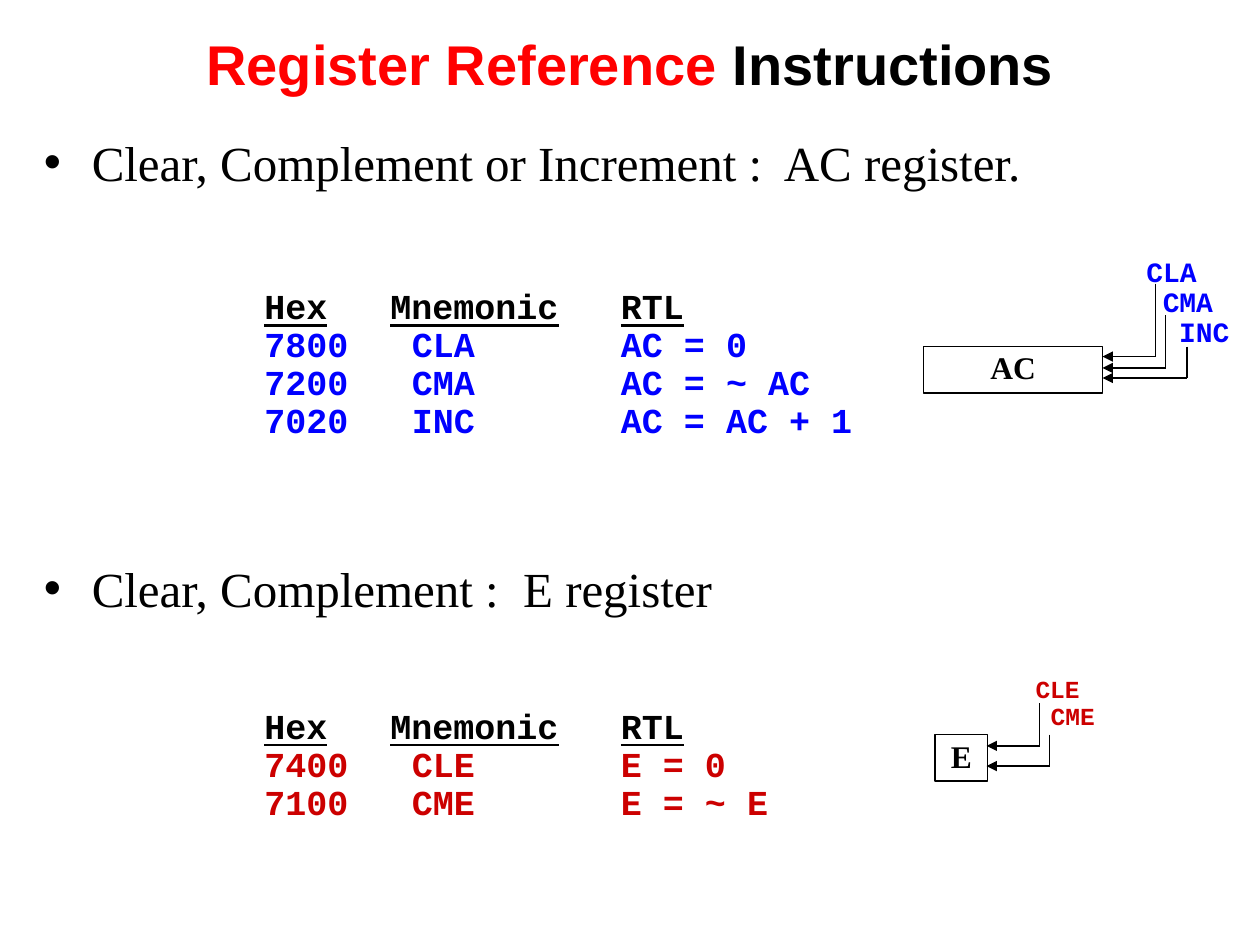
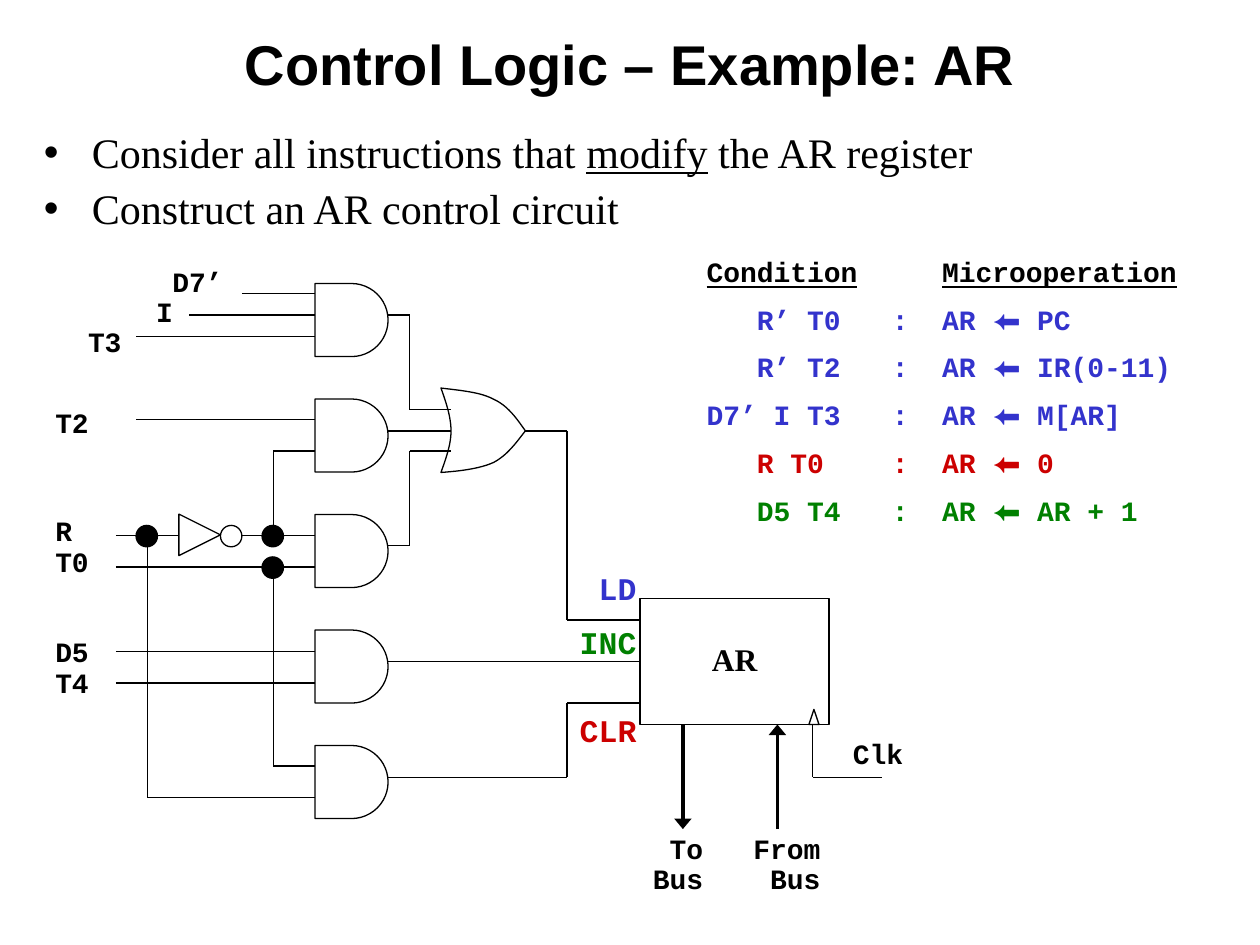
"""Build two slides on register reference instructions and AR control logic."""
import pptx
import pptx.dml.color
import pptx.enum.shapes
import pptx.enum.text
import pptx.oxml.ns
import pptx.util
from lxml import etree

Inches = pptx.util.Inches
Pt = pptx.util.Pt
RGBColor = pptx.dml.color.RGBColor
SHAPE = pptx.enum.shapes.MSO_SHAPE
ALIGN = pptx.enum.text.PP_ALIGN
ANCHOR = pptx.enum.text.MSO_ANCHOR
qn = pptx.oxml.ns.qn

BLACK = RGBColor(0x00, 0x00, 0x00)
WHITE = RGBColor(0xFF, 0xFF, 0xFF)
TITLE_RED = RGBColor(0xFF, 0x00, 0x00)
BLUE = RGBColor(0x00, 0x00, 0xFF)
RED = RGBColor(0xCC, 0x00, 0x00)
INDIGO = RGBColor(0x33, 0x33, 0xCC)
GREEN = RGBColor(0x00, 0x80, 0x00)

SANS, SERIF, MONO = "Arial", "Times New Roman", "Courier New"
UNDERLINED = {"underline": True}


def add_bullet(paragraph):
    """Give a paragraph a hanging round bullet."""
    properties = paragraph._p.get_or_add_pPr()
    properties.set("marL", str(Inches(0.38)))
    properties.set("indent", str(-Inches(0.38)))
    etree.SubElement(properties, qn("a:buFont")).set("typeface", SANS)
    etree.SubElement(properties, qn("a:buChar")).set("char", "•")


def add_tabs(paragraph, positions):
    """Add left tab stops at the given positions in inches."""
    tab_list = etree.SubElement(paragraph._p.get_or_add_pPr(), qn("a:tabLst"))
    for position in positions:
        tab = etree.SubElement(tab_list, qn("a:tab"))
        tab.set("pos", str(Inches(position)))
        tab.set("algn", "l")


def write_text(frame, paragraphs, size=16, font=MONO, color=BLACK, bold=True,
               align=ALIGN.LEFT, anchor=ANCHOR.TOP, spacing=0.9, before=0,
               bullet=False, tabs=()):
    """Fill a text frame; a paragraph is a string or a list of (text, changes) runs."""
    frame.word_wrap = True
    frame.auto_size = pptx.enum.text.MSO_AUTO_SIZE.NONE
    frame.vertical_anchor = anchor
    frame.margin_left = frame.margin_right = Inches(0.1)
    frame.margin_top = frame.margin_bottom = Inches(0.05)
    for index, runs in enumerate(paragraphs):
        paragraph = frame.add_paragraph() if index else frame.paragraphs[0]
        if bullet:
            add_bullet(paragraph)
        if tabs:
            add_tabs(paragraph, tabs)
        paragraph.alignment = align
        paragraph.line_spacing = spacing
        paragraph.space_before = Pt(before if index else 0)
        for text, changes in [(runs, {})] if isinstance(runs, str) else runs:
            run = paragraph.add_run()
            run.text = text
            run.font.size = Pt(size)
            run.font.bold = bold
            run.font.name = changes.get("font", font)
            run.font.color.rgb = changes.get("color", color)
            run.font.underline = changes.get("underline", False)


def add_text(slide, left, top, width, height, paragraphs, **text_format):
    """Add a text box."""
    box = slide.shapes.add_textbox(
        Inches(left), Inches(top), Inches(width), Inches(height))
    write_text(box.text_frame, paragraphs, **text_format)


def add_label(slide, text, left, top, width=0.65, **text_format):
    """Add a one-line signal name."""
    add_text(slide, left, top, width, 0.34, [text], **text_format)


def style_outline(shape, fill):
    """Give a shape a thin black outline, an optional fill and no shadow."""
    shape.shadow.inherit = False
    shape.line.color.rgb = BLACK
    shape.line.width = Pt(0.75)
    if fill is None:
        shape.fill.background()
    else:
        shape.fill.solid()
        shape.fill.fore_color.rgb = fill


def add_part(slide, kind, left, top, width, height, fill=None):
    """Add an outlined circuit part."""
    part = slide.shapes.add_shape(
        kind, Inches(left), Inches(top), Inches(width), Inches(height))
    style_outline(part, fill)
    return part


def add_register(slide, name, left, top, width, height):
    """Add a register box with its name in the middle."""
    register = add_part(slide, SHAPE.RECTANGLE, left, top, width, height)
    write_text(register.text_frame, [name], size=18, font=SERIF,
               align=ALIGN.CENTER, anchor=ANCHOR.MIDDLE)


def add_wire(slide, *points, width=0.75, arrow=None):
    """Join points by straight lines; arrow is the width of a head at the last."""
    for start, end in zip(points, points[1:]):
        wire = slide.shapes.add_connector(
            pptx.enum.shapes.MSO_CONNECTOR.STRAIGHT,
            *(Inches(value) for value in start + end))
        wire.line.color.rgb = BLACK
        wire.line.width = Pt(width)
        properties = wire._element.spPr
        if arrow and end == points[-1]:
            head = etree.SubElement(properties.find(qn("a:ln")), qn("a:tailEnd"))
            head.set("type", "triangle")
            head.set("w", arrow)
        etree.SubElement(properties, qn("a:effectLst"))


def curve_points(start, first, second, end, steps=12):
    """Return points along a cubic curve, without its start."""
    points = []
    for step in range(1, steps + 1):
        t = step / steps
        weights = ((1 - t) ** 3, 3 * t * (1 - t) ** 2, 3 * t * t * (1 - t), t ** 3)
        points.append(tuple(
            Inches(sum(weight * value for weight, value in zip(weights, values)))
            for values in zip(start, first, second, end)))
    return points


def add_or_gate(slide):
    """Draw the OR gate as one closed curved outline."""
    knots = [(3.5, 3.08), (3.54, 3.19), (3.58, 3.31), (3.58, 3.42),
             (3.58, 3.53), (3.54, 3.64), (3.5, 3.75),
             (3.65, 3.74), (3.81, 3.72), (3.92, 3.67),
             (4.03, 3.61), (4.1, 3.51), (4.17, 3.42),
             (4.1, 3.32), (4.03, 3.22), (3.92, 3.17),
             (3.81, 3.11), (3.65, 3.1), (3.5, 3.08)]
    builder = slide.shapes.build_freeform(Inches(3.5), Inches(3.08))
    for index in range(0, len(knots) - 1, 3):
        builder.add_line_segments(curve_points(*knots[index:index + 4]), close=False)
    builder.add_line_segments([], close=True)
    style_outline(builder.convert_to_shape(), WHITE)


def add_titled_slide(presentation, title_runs):
    """Add a title-only slide with the shared title style."""
    slide = presentation.slides.add_slide(presentation.slide_layouts[5])
    title = slide.shapes.title
    title.left, title.top = Inches(0), Inches(0)
    title.width, title.height = Inches(10), Inches(1)
    write_text(title.text_frame, [title_runs], size=32, font=SANS, spacing=1.0,
               align=ALIGN.CENTER, anchor=ANCHOR.MIDDLE)
    return slide


def add_bullets(slide, height, bullets, **text_format):
    """Add the bulleted body text."""
    add_text(slide, 0.25, 1, 9.42, height, bullets,
             font=SERIF, bold=False, bullet=True, **text_format)


def add_instructions(slide, top, rows, color):
    """Add a listing of hex codes, mnemonics and transfers under its headings."""
    heading = [("Hex", UNDERLINED), ("\t", {}), ("Mnemonic", UNDERLINED),
               ("\t", {}), ("RTL", UNDERLINED)]
    add_text(slide, 2, top, 4.87, 0.4, [heading], size=20, tabs=(1, 2.83))
    add_text(slide, 2, top + 0.3, 4.87, 0.3 * len(rows) + 0.1,
             ["\t".join(row) for row in rows],
             size=20, color=color, tabs=(1.17, 2.83))


def build_register_slide(presentation):
    """Build the slide on register reference instructions."""
    slide = add_titled_slide(presentation, [
        ("Register Reference ", {"color": TITLE_RED}), ("Instructions", {})])
    add_bullets(slide, 4.08, ["Clear, Complement or Increment :  AC register.",
                              "Clear, Complement :  E register"],
                size=28, spacing=1.0, before=210)
    add_instructions(slide, 2.25, [("7800", "CLA", "AC = 0"),
                                   ("7200", "CMA", "AC = ~ AC"),
                                   ("7020", "INC", "AC = AC + 1")], BLUE)
    add_instructions(slide, 5.58, [("7400", "CLE", "E = 0"),
                                   ("7100", "CME", "E = ~ E")], RED)

    add_register(slide, "AC", 7.33, 2.75, 1.42, 0.37)
    for index, name in enumerate(("CLA", "CMA", "INC")):
        add_label(slide, name, 9 + 0.13 * index, 2 + 0.24 * index, color=BLUE)
    for x, top, bottom in ((9.17, 2.25, 2.83), (9.25, 2.5, 2.92), (9.42, 2.75, 3)):
        add_wire(slide, (x, top), (x, bottom), (8.75, bottom), arrow="med")

    add_register(slide, "E", 7.42, 5.83, 0.42, 0.37)
    for index, name in enumerate(("CLE", "CME")):
        add_label(slide, name, 8.12 + 0.12 * index, 5.33 + 0.21 * index,
                  size=14, color=RED)
    for x, top, bottom in ((8.25, 5.58, 5.92), (8.33, 5.83, 6.08)):
        add_wire(slide, (x, top), (x, bottom), (7.83, bottom), arrow="med")


def add_conditions(slide):
    """Add the listing of conditions and the microoperations they trigger."""
    heading = [("Condition", UNDERLINED), ("\t", {}), ("Microoperation", UNDERLINED)]
    add_text(slide, 5.51, 2, 4.3, 0.34, [heading], tabs=(1.87,))
    rows = [("\tR’ T0", "PC", INDIGO), ("\tR’ T2", "IR(0-11)", INDIGO),
            ("D7’ I T3", "M[AR]", INDIGO), ("\tR T0", "0", RED),
            ("\tD5 T4", "AR + 1", GREEN)]
    paragraphs = [[(f"{condition}\t:\tAR ", {"color": color}),
                   ("⬅", {"color": color, "font": SANS}),
                   (f" {value}", {"color": color})]
                  for condition, value, color in rows]
    add_text(slide, 5.51, 2.38, 4.3, 1.86, paragraphs,
             before=10, tabs=(0.4, 1.47, 1.87))


def add_circuit(slide):
    """Draw the gates, wires and register of the AR control circuit."""
    add_or_gate(slide)
    for index in range(5):
        add_part(slide, SHAPE.FLOWCHART_DELAY, 2.5, 2.25 + index * 11 / 12, 0.58, 0.58)
    wires = [
        [(1.92, 2.33), (2.5, 2.33)], [(1.5, 2.5), (2.5, 2.5)],
        [(1.08, 2.67), (2.5, 2.67)], [(1.08, 3.33), (2.5, 3.33)],
        [(0.92, 4.25), (2.5, 4.25)], [(0.92, 4.5), (2.5, 4.5)],
        [(0.92, 5.17), (2.5, 5.17)], [(0.92, 5.42), (2.5, 5.42)],
        [(1.17, 4.25), (1.17, 6.33), (2.5, 6.33)],
        [(2.17, 4.5), (2.17, 6.08), (2.5, 6.08)],
        [(2.17, 4.25), (2.17, 3.58), (2.5, 3.58)],
        [(3.08, 3.42), (3.58, 3.42)],
        [(3.08, 2.5), (3.25, 2.5), (3.25, 3.25), (3.58, 3.25)],
        [(3.08, 4.33), (3.25, 4.33), (3.25, 3.58), (3.58, 3.58)],
        [(4.17, 3.42), (4.5, 3.42), (4.5, 4.92), (5.08, 4.92)],
        [(3.08, 5.25), (5.08, 5.25)],
        [(3.08, 6.17), (4.5, 6.17), (4.5, 5.58), (5.08, 5.58)],
        [(6.45, 5.75), (6.45, 6.17), (7, 6.17)],
    ]
    for points in wires:
        add_wire(slide, *points)
    inverter = add_part(slide, SHAPE.FLOWCHART_MERGE, 1.42, 4.08, 0.33, 0.33, WHITE)
    inverter.rotation = 270
    for left, top, fill in ((1.08, 4.17, BLACK), (2.08, 4.17, BLACK),
                            (2.08, 4.42, BLACK), (1.75, 4.17, WHITE)):
        add_part(slide, SHAPE.OVAL, left, top, 0.17, 0.17, fill)
    add_register(slide, "AR", 5.08, 4.75, 1.5, 1)
    add_part(slide, SHAPE.FLOWCHART_EXTRACT, 6.42, 5.63, 0.08, 0.12)
    add_wire(slide, (5.42, 5.75), (5.42, 6.58), width=2, arrow="lg")
    add_wire(slide, (6.17, 6.58), (6.17, 5.75), width=2, arrow="lg")


def build_control_slide(presentation):
    """Build the slide on the AR control circuit."""
    slide = add_titled_slide(presentation, "Control Logic – Example: AR")
    add_bullets(slide, 0.92, [
        [("Consider all instructions that ", {}), ("modify", UNDERLINED),
         (" the AR register", {})],
        "Construct an AR control circuit"], size=24, before=6)
    add_conditions(slide)
    add_circuit(slide)
    for name, left, top in (("D7’", 1.27, 2.08), ("I", 1.14, 2.32), ("T3", 0.6, 2.56),
                            ("T2", 0.34, 3.2), ("R", 0.34, 4.06), ("T0", 0.34, 4.3),
                            ("D5", 0.34, 5.02), ("T4", 0.34, 5.26),
                            ("Clk", 6.67, 5.83)):
        add_label(slide, name, left, top)
    for name, top, color in (("LD", 4.5, INDIGO), ("INC", 4.93, GREEN),
                             ("CLR", 5.63, RED)):
        add_label(slide, name, 4.35, top, width=0.8, size=18, color=color,
                  align=ALIGN.RIGHT)
    for direction, left in (("To", 4.88), ("From", 5.81)):
        add_text(slide, left, 6.58, 0.8, 0.58, [direction, "Bus"], align=ALIGN.RIGHT)


def main():
    """Build and save the presentation."""
    presentation = pptx.Presentation()
    presentation.slide_width = Inches(10)
    presentation.slide_height = Inches(7.5)
    build_register_slide(presentation)
    build_control_slide(presentation)
    presentation.save("out.pptx")


if __name__ == "__main__":
    main()
